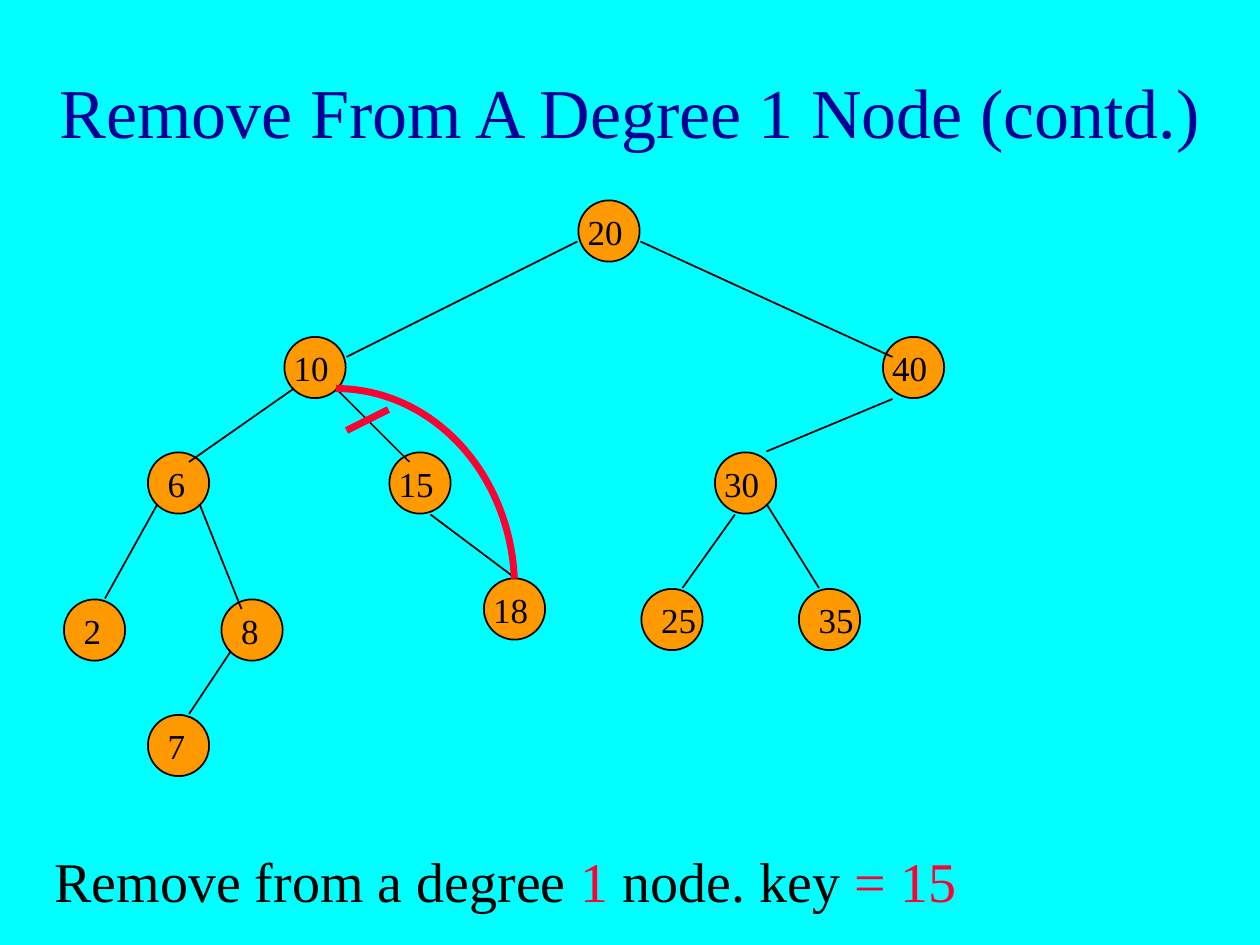
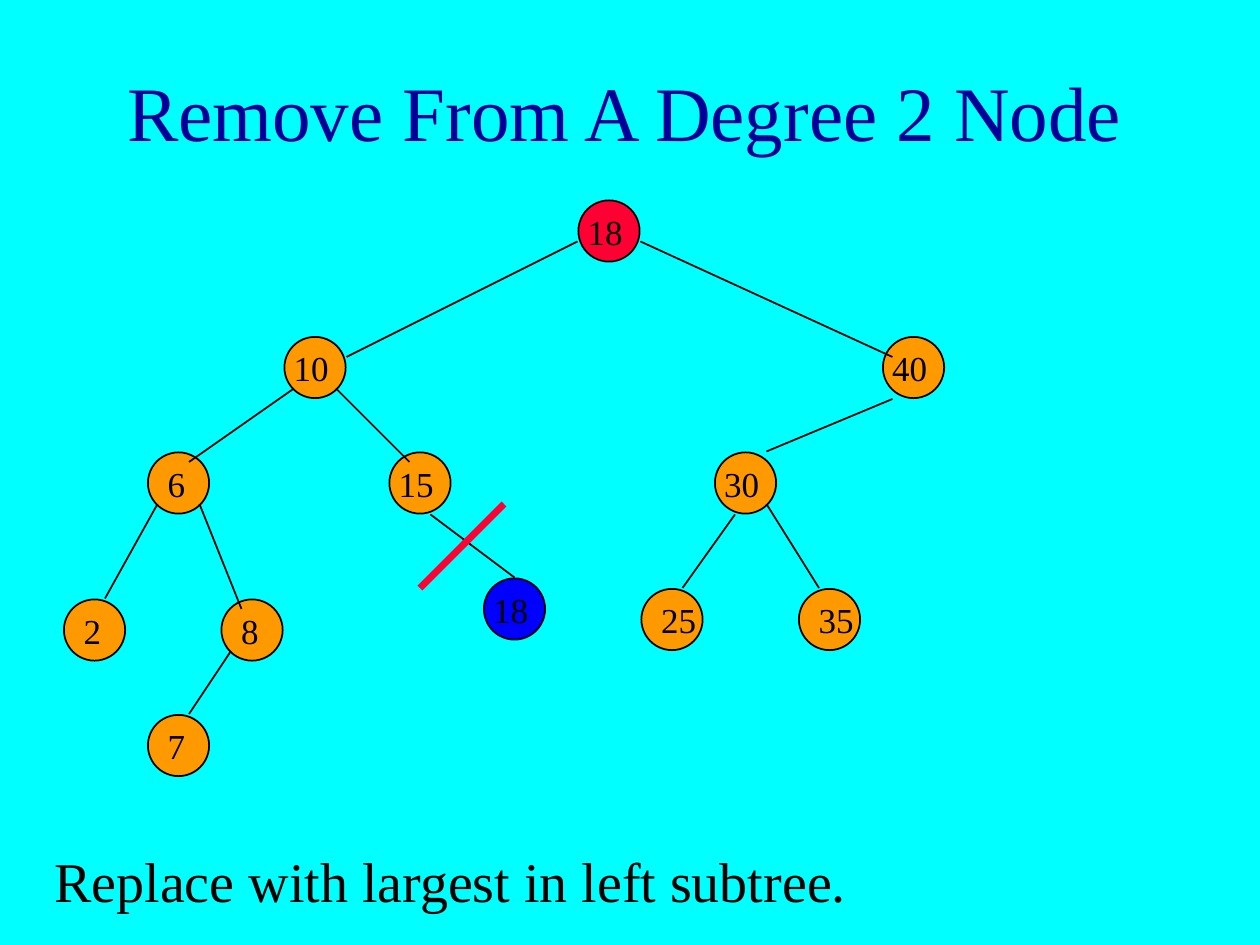
from dataclasses import dataclass
from typing import Any, NamedTuple

from lxml.etree import SubElement
from pptx import Presentation
from pptx.dml.color import RGBColor
from pptx.enum.shapes import MSO_CONNECTOR, MSO_SHAPE
from pptx.enum.text import MSO_ANCHOR, PP_ALIGN
from pptx.oxml.ns import qn
from pptx.util import Pt

CYAN, NAVY, BLACK = "00FFFF", "000099", "000000"
ORANGE, RED, BLUE = "FF9900", "FF0033", "0000FF"
FONT = "Times New Roman"
DIAMETER = 35
THIN, THICK = 1, 4


class Box(NamedTuple):
    left: float
    top: float
    width: float
    height: float


class Run(NamedTuple):
    text: str
    color: str = BLACK


class Node(NamedTuple):
    """A tree node: centre, and label box offset from the centre."""
    key: str
    x: float
    y: float
    label_dx: float = -19.25
    fill: str = ORANGE


class Line(NamedTuple):
    x1: float
    y1: float
    x2: float
    y2: float
    color: str = BLACK
    weight: float = THIN


@dataclass
class TreeSlide:
    title: str
    title_box: Box
    title_size: float
    caption: list[Run]
    root: Node
    leaf: Node
    cut: Line
    bypass: Box | None = None


CAPTION_BOX = Box(24, 480, 648, 45)

NODES = [
    Node("10", 180, 210),
    Node("40", 522, 210),
    Node("6", 102, 276, -13.25),
    Node("15", 240, 276),
    Node("30", 426, 276),
    Node("2", 54, 360, -13.25),
    Node("8", 144, 360, -13.25),
    Node("25", 384, 354, -13.25),
    Node("35", 474, 354, -13.25),
    Node("7", 102, 426, -13.25),
]

EDGES = [
    Line(330, 138, 198, 204),
    Line(366, 138, 510, 204),
    Line(168, 222, 108, 264),
    Line(192, 222, 234, 264),
    Line(510, 228, 438, 258),
    Line(90, 288, 60, 342),
    Line(114, 288, 138, 348),
    Line(246, 294, 294, 330),
    Line(420, 294, 390, 336),
    Line(438, 288, 468, 336),
    Line(132, 372, 108, 408),
]

ROOT = Node("20", 348, 132)
LEAF = Node("18", 294, 348)

SLIDES = [
    TreeSlide(
        title="Remove From A Degree 1 Node (contd.)",
        title_box=Box(18, 18, 684, 90),
        title_size=40,
        caption=[Run("Remove from a degree "), Run("1 ", RED),
                 Run("node. key "), Run("= 15", RED)],
        root=ROOT,
        leaf=LEAF,
        cut=Line(222, 234, 198, 246, RED, THICK),
        bypass=Box(90, 222, 204, 228),
    ),
    TreeSlide(
        title="Remove From A Degree 2 Node",
        title_box=Box(6, 18, 702, 90),
        title_size=44,
        caption=[Run("Replace with largest in left subtree.")],
        root=ROOT._replace(key="18", fill=RED),
        leaf=LEAF._replace(fill=BLUE),
        cut=Line(288, 288, 240, 336, RED, THICK),
    ),
]


def rgb(color: str) -> RGBColor:
    return RGBColor.from_string(color)


def apply(target: Any, formats: dict[str, Any]) -> None:
    for name, value in formats.items():
        setattr(target, name, value)


def set_line(sp: Any, color: str, weight: float) -> None:
    sp.line.color.rgb = rgb(color)
    sp.line.width = Pt(weight)


def add_text(slide: Any, box: Box, runs: list[Run], size: float,
             frame: dict[str, Any], align: PP_ALIGN = PP_ALIGN.LEFT) -> None:
    tf = slide.shapes.add_textbox(*map(Pt, box)).text_frame
    apply(tf, frame)
    p = tf.paragraphs[0]
    p.alignment = align
    for run in runs:
        r = p.add_run()
        r.text = run.text
        apply(r.font, {"name": FONT, "size": Pt(size)})
        r.font.color.rgb = rgb(run.color)


def add_preset(slide: Any, kind: MSO_SHAPE, box: Box) -> Any:
    sp = slide.shapes.add_shape(kind, *map(Pt, box))
    sp.shadow.inherit = False
    return sp


def add_circle(slide: Any, node: Node) -> None:
    r = DIAMETER / 2
    sp = add_preset(slide, MSO_SHAPE.OVAL,
                    Box(node.x - r, node.y - r, DIAMETER, DIAMETER))
    sp.fill.solid()
    sp.fill.fore_color.rgb = rgb(node.fill)
    set_line(sp, BLACK, THIN)


def add_label(slide: Any, node: Node) -> None:
    width = 14.4 + 10 * len(node.key)
    box = Box(node.x + node.label_dx, node.y - 15.4, width, 31)
    add_text(slide, box, [Run(node.key)], 20, {"word_wrap": False})


def add_line(slide: Any, line: Line) -> None:
    ends = map(Pt, line[:4])
    sp = slide.shapes.add_connector(MSO_CONNECTOR.STRAIGHT, *ends)
    set_line(sp, line.color, line.weight)
    SubElement(sp._element.spPr, qn("a:effectLst"))


def add_bypass(slide: Any, box: Box) -> None:
    """Draw the arc that links the parent to the removed node's child."""
    sp = add_preset(slide, MSO_SHAPE.ARC, box)
    # Angles are in 60000ths of a degree, adjustments in 100000ths.
    for i, degrees in enumerate((270, 357)):
        sp.adjustments[i] = degrees * 0.6
    sp.fill.background()
    set_line(sp, RED, THICK)


def add_tree_slide(prs: Any, content: TreeSlide) -> None:
    slide = prs.slides.add_slide(prs.slide_layouts[6])
    add_text(slide, content.title_box, [Run(content.title, NAVY)],
             content.title_size,
             {"word_wrap": True, "vertical_anchor": MSO_ANCHOR.MIDDLE},
             PP_ALIGN.CENTER)
    nodes = [content.root, *NODES, content.leaf]
    for node in nodes:
        add_circle(slide, node)
    for edge in EDGES:
        add_line(slide, edge)
    for node in nodes:
        add_label(slide, node)
    if content.bypass:
        add_bypass(slide, content.bypass)
    add_line(slide, content.cut)
    add_text(slide, CAPTION_BOX, content.caption, 32, {"word_wrap": True})


def main() -> None:
    prs = Presentation()
    apply(prs, {"slide_width": Pt(720), "slide_height": Pt(540)})
    fill = prs.slide_master.background.fill
    fill.solid()
    fill.fore_color.rgb = rgb(CYAN)
    for content in SLIDES:
        add_tree_slide(prs, content)
    prs.save("out.pptx")


if __name__ == "__main__":
    main()
